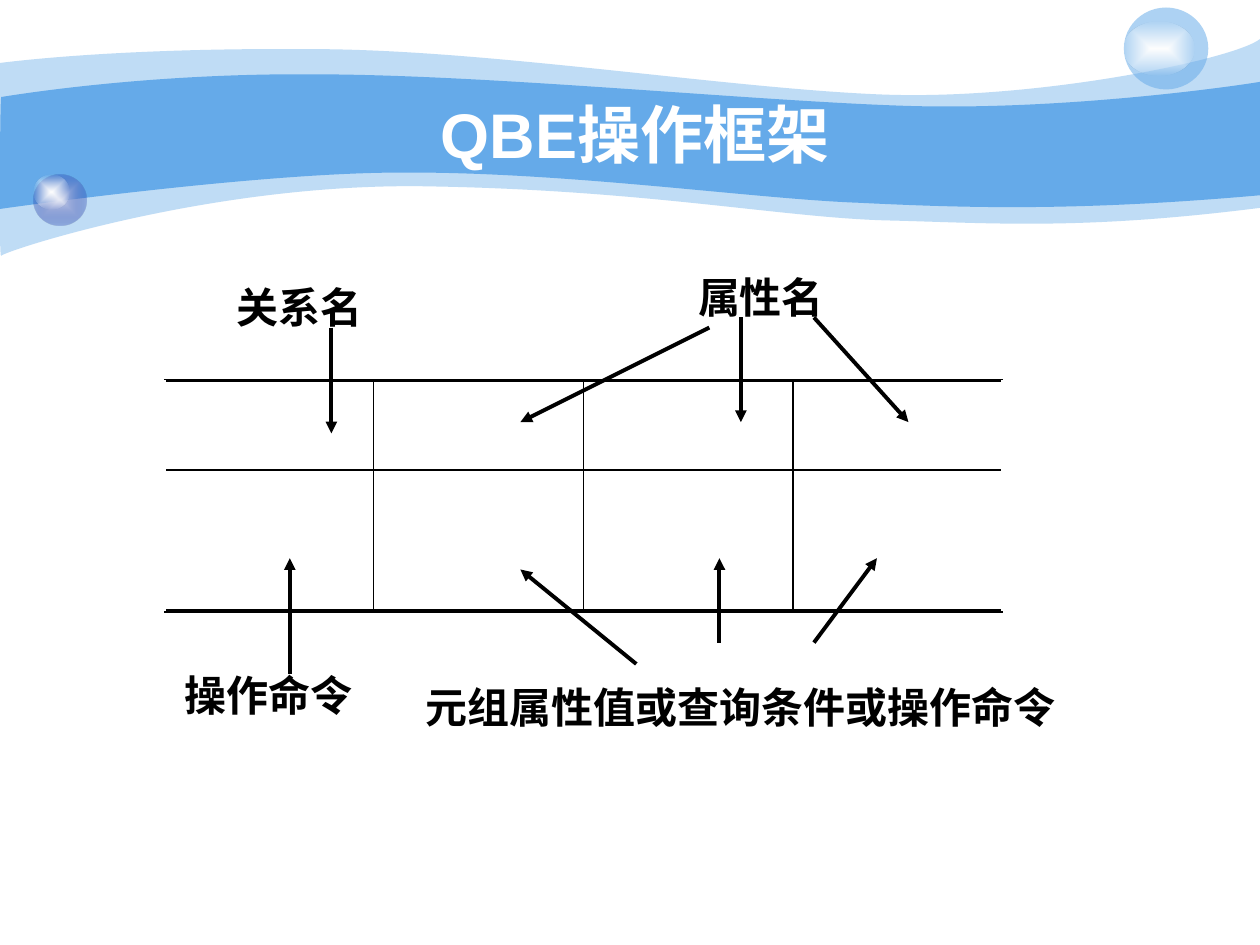
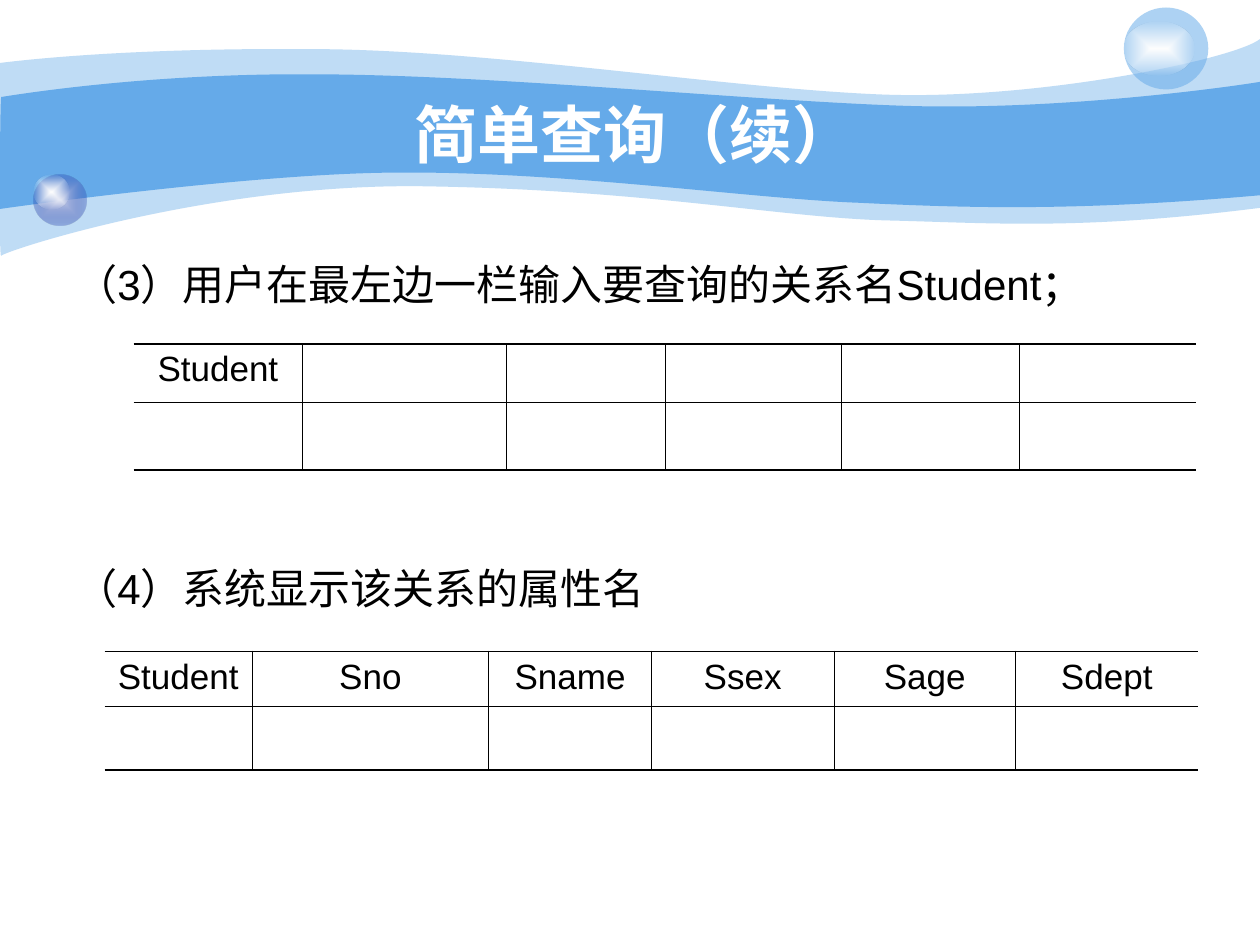
import lxml.etree
import pptx
import pptx.dml.color
import pptx.enum.lang
import pptx.enum.shapes
import pptx.enum.text
import pptx.oxml.ns
import pptx.util

Inches = pptx.util.Inches
Pt = pptx.util.Pt
RGBColor = pptx.dml.color.RGBColor
ALIGN = pptx.enum.text.PP_ALIGN
ANCHOR = pptx.enum.text.MSO_ANCHOR
qn = pptx.oxml.ns.qn

SKY = RGBColor(0x65, 0xAA, 0xE9)
BALL_CORE = RGBColor(0xC7, 0xCE, 0xE9)
BALL_RIM = RGBColor(0x23, 0x3D, 0xA9)
WHITE = RGBColor(0xFF, 0xFF, 0xFF)
BLACK = RGBColor(0, 0, 0)

SANS = "Arial"
SERIF = "Times New Roman"
THICK, THIN = 2.25, 1
RULE, HAIRLINE = 1.08, 0.45

# Each wave is a start point, then line ends (2 numbers) and Bezier curves (6 numbers).
OUTER_WAVE = [
    (0, 0.5),
    (0.24, 0.47, 1.07, 0.38, 2.47, 0.39),
    (3.86, 0.39, 5.75, 0.7, 6.99, 0.75),
    (8.22, 0.8, 9.8, 0.47, 10, 0.31),
    (10, 1.65),
    (8.58, 1.83, 7.87, 1.77, 7.05, 1.75),
    (6.22, 1.73, 5.15, 1.51, 3.43, 1.48),
    (1.72, 1.44, 0.04, 1.99, 0.01, 2.03),
    (-0.01, 2.08, 0, 0.75, 0, 0.5),
]
INNER_WAVE = [
    (0.01, 0.77),
    (0.02, 0.77, 1.1, 0.58, 2.48, 0.59),
    (3.86, 0.59, 5.95, 0.8, 7.18, 0.84),
    (8.41, 0.88, 9.76, 0.69, 10, 0.65),
    (10, 1.55),
    (8.53, 1.68, 7.65, 1.65, 6.82, 1.61),
    (5.99, 1.58, 4.47, 1.36, 3.17, 1.37),
    (2.03, 1.37, -0.02, 1.66, -0.01, 1.66),
    (0, 1.66, 0, 0.77, 0.01, 0.77),
]


def sub(parent, tag, **attrs):
    return lxml.etree.SubElement(parent, qn(tag), attrs)


def add_color(parent, color, alpha=100):
    clr = sub(parent, "a:srgbClr", val=str(color))
    if alpha < 100:
        sub(clr, "a:alpha", val=str(alpha * 1000))


class Deck:
    def __init__(self):
        self.prs = pptx.Presentation()
        self.prs.slide_width = Inches(10)
        self.prs.slide_height = Inches(7.5)
        self.layout = self.prs.slide_layouts[5]
        self.s = None

    def new_slide(self, title):
        first = self.s is None
        self.s = self.prs.slides.add_slide(self.layout)
        if first:
            self.backdrop()
        self.title(title)

    def backdrop(self):
        """Draw the waves and balls, then hand them to the shared layout."""
        shapes = [
            self.wave(OUTER_WAVE, 41),
            self.wave(INNER_WAVE),
            self.ball(0.27, 1.39, 0.42, 0.4, gradient=((BALL_CORE, 100), (BALL_RIM, 31))),
            self.glint(0.27, 1.39, 0.28, 0.27),
            self.ball(8.92, 0.06, 0.67, 0.65, alpha=53),
            self.glint(8.92, 0.17, 0.56, 0.43),
        ]
        for i, sp in enumerate(shapes):
            sp._element.nvSpPr.cNvPr.set("id", str(101 + i))
            self.layout.shapes._spTree.append(sp._element)

    def title(self, text):
        sp = self.s.shapes.title
        sp.left, sp.top = Inches(1), Inches(0.75)
        sp.width, sp.height = Inches(8.08), Inches(0.62)
        tf = sp.text_frame
        tf.auto_size = pptx.enum.text.MSO_AUTO_SIZE.NONE
        tf.vertical_anchor = ANCHOR.MIDDLE
        tf.text = text
        self.style(tf.paragraphs[0], 36, SANS, WHITE, True, ALIGN.CENTER)

    def style(self, p, size, font=SANS, color=BLACK, bold=False, align=ALIGN.LEFT):
        p.alignment = align
        f = p.font
        f.size, f.name, f.bold = Pt(size), font, bold
        f.color.rgb = color
        f.language_id = pptx.enum.lang.MSO_LANGUAGE_ID.SIMPLIFIED_CHINESE

    def paint(self, sp, alpha=100):
        sp.shadow.inherit = False
        sp.line.fill.background()
        sp.fill.solid()
        sp.fill.fore_color.rgb = SKY
        if alpha < 100:
            clr = sp._element.spPr.find(".//" + qn("a:srgbClr"))
            sub(clr, "a:alpha", val=str(alpha * 1000))

    def wave(self, outline, alpha=100):
        """Build the outline from its segment ends, then bend the curved segments."""
        start, *segments = outline
        fb = self.s.shapes.build_freeform(Inches(start[0]), Inches(start[1]))
        fb.add_line_segments([(Inches(x), Inches(y)) for *_, x, y in segments], close=True)
        sp = fb.convert_to_shape()
        for seg, straight in zip(segments, list(sp._element.iter(qn("a:lnTo")))):
            if len(seg) == 6:
                curve = lxml.etree.Element(qn("a:cubicBezTo"))
                for x, y in zip(seg[::2], seg[1::2]):
                    sub(curve, "a:pt", x=str(Inches(x) - sp.left), y=str(Inches(y) - sp.top))
                straight.getparent().replace(straight, curve)
        self.paint(sp, alpha)
        return sp

    def ball(self, x, y, w, h, alpha=100, gradient=None):
        """Draw an ellipse; gradient gives (colour, alpha) at the centre and the rim."""
        sp = self.s.shapes.add_shape(pptx.enum.shapes.MSO_SHAPE.OVAL,
                                     Inches(x), Inches(y), Inches(w), Inches(h))
        self.paint(sp, alpha)
        if gradient:
            spPr = sp._element.spPr
            solid = spPr.find(qn("a:solidFill"))
            grad = lxml.etree.Element(qn("a:gradFill"), rotWithShape="1")
            stops = sub(grad, "a:gsLst")
            for pos, (color, opacity) in zip(("0", "100000"), gradient):
                add_color(sub(stops, "a:gs", pos=pos), color, opacity)
            shade = sub(grad, "a:path", path="rect")
            sub(shade, "a:fillToRect", l="50000", t="50000", r="50000", b="50000")
            spPr.replace(solid, grad)
        return sp

    def glint(self, x, y, w, h):
        return self.ball(x, y, w, h, gradient=((WHITE, 100), (WHITE, 0)))

    def line(self, start, end, width=THICK, color=BLACK, arrow=False):
        cx = self.s.shapes.add_connector(pptx.enum.shapes.MSO_CONNECTOR.STRAIGHT,
                                         *(Inches(v) for v in (*start, *end)))
        cx.line.width = Pt(width)
        cx.line.color.rgb = color
        if arrow:
            sub(cx.get_or_add_ln(), "a:tailEnd", type="triangle")
        sub(cx._element.spPr, "a:effectLst")

    def label(self, text, center, y, w):
        tb = self.s.shapes.add_textbox(Inches(center - w / 2), Inches(y),
                                       Inches(w), Inches(0.67))
        tf = tb.text_frame
        tf.word_wrap = False
        tf.vertical_anchor = ANCHOR.MIDDLE
        tf.text = text
        self.style(tf.paragraphs[0], 24, SERIF, bold=True, align=ALIGN.CENTER)

    def steps(self, texts, gap):
        """Write hanging paragraphs, gap points apart to leave room for tables."""
        tb = self.s.shapes.add_textbox(Inches(0.5), Inches(2), Inches(9.07), Inches(4.92))
        tf = tb.text_frame
        tf.word_wrap = True
        for i, text in enumerate(texts):
            p = tf.add_paragraph() if i else tf.paragraphs[0]
            p.text = text
            pPr = p._p.get_or_add_pPr()
            pPr.set("marL", str(Inches(0.38)))
            pPr.set("indent", str(-Inches(0.38)))
            if i:
                p.space_before = Pt(gap)
            self.style(p, 24)

    def table(self, x, y, cols, rows, header):
        """Add an open-sided grid with its header in the first row."""
        frame = self.s.shapes.add_table(len(rows), len(cols), Inches(x), Inches(y),
                                        Inches(sum(cols)), Inches(sum(rows)))
        tbl = frame.table
        tbl.first_row = tbl.horz_banding = False
        for col, w in zip(tbl.columns, cols):
            col.width = Inches(w)
        for row, h in zip(tbl.rows, rows):
            row.height = Inches(h)
        last_row, last_col = len(rows) - 1, len(cols) - 1
        for r in range(len(rows)):
            for c in range(len(cols)):
                cell = tbl.cell(r, c)
                self.borders(cell, L=HAIRLINE if c else 0,
                             R=HAIRLINE if c < last_col else 0,
                             T=HAIRLINE if r else RULE,
                             B=HAIRLINE if r < last_row else RULE)
                cell.fill.background()
                p = cell.text_frame.paragraphs[0]
                if r == 0 and c < len(header):
                    p.text = header[c]
                self.style(p, 20, align=ALIGN.CENTER)

    def borders(self, cell, **widths):
        tcPr = cell._tc.get_or_add_tcPr()
        for side, width in widths.items():
            ln = sub(tcPr, "a:ln" + side, w=str(Pt(width)))
            if width:
                add_color(sub(ln, "a:solidFill"), BLACK)
            else:
                sub(ln, "a:noFill")


def framework_slide(deck):
    deck.new_slide("QBE操作框架")
    left, right, top, bottom = 1.3, 7.96, 3.02, 4.85
    for y, width in ((top, THICK), (3.73, THIN), (bottom, THICK)):
        deck.line((left, y), (right, y), width)
    for i in range(5):
        x = left + i * (right - left) / 4
        if i in (0, 4):
            deck.line((x, top), (x, bottom), THICK, WHITE)
        else:
            deck.line((x, top), (x, bottom), THIN)

    deck.label("关系名", 2.38, 2.1, 1.3)
    deck.label("属性名", 6.04, 2.02, 1.3)
    deck.label("操作命令", 2.13, 5.18, 1.6)
    deck.label("元组属性值或查询条件或操作命令", 5.88, 5.27, 5.3)

    for start, end in (
        ((2.63, 2.6), (2.63, 3.44)),
        ((2.3, 5.35), (2.3, 4.43)),
        ((5.71, 5.1), (5.71, 4.43)),
        ((6.46, 5.1), (6.96, 4.43)),
        ((5.05, 5.27), (4.13, 4.52)),
        ((5.88, 2.52), (5.88, 3.35)),
        ((5.63, 2.6), (4.13, 3.35)),
        ((6.46, 2.52), (7.21, 3.35)),
    ):
        deck.line(start, end, arrow=True)


def query_slide(deck):
    deck.new_slide("简单查询（续）")
    deck.steps(["（3）用户在最左边一栏输入要查询的关系名Student；",
                "（4）系统显示该关系的属性名"], gap=145)
    deck.table(1.06, 2.73, [1.34, 1.62, 1.26, 1.4, 1.41, 1.4], [0.46, 0.54], ["Student"])
    deck.table(0.83, 5.17, [1.17, 1.88, 1.29, 1.45, 1.44, 1.45], [0.44, 0.5],
               ["Student", "Sno", "Sname", "Ssex", "Sage", "Sdept"])


def main():
    deck = Deck()
    framework_slide(deck)
    query_slide(deck)
    deck.prs.save("out.pptx")


if __name__ == "__main__":
    main()
